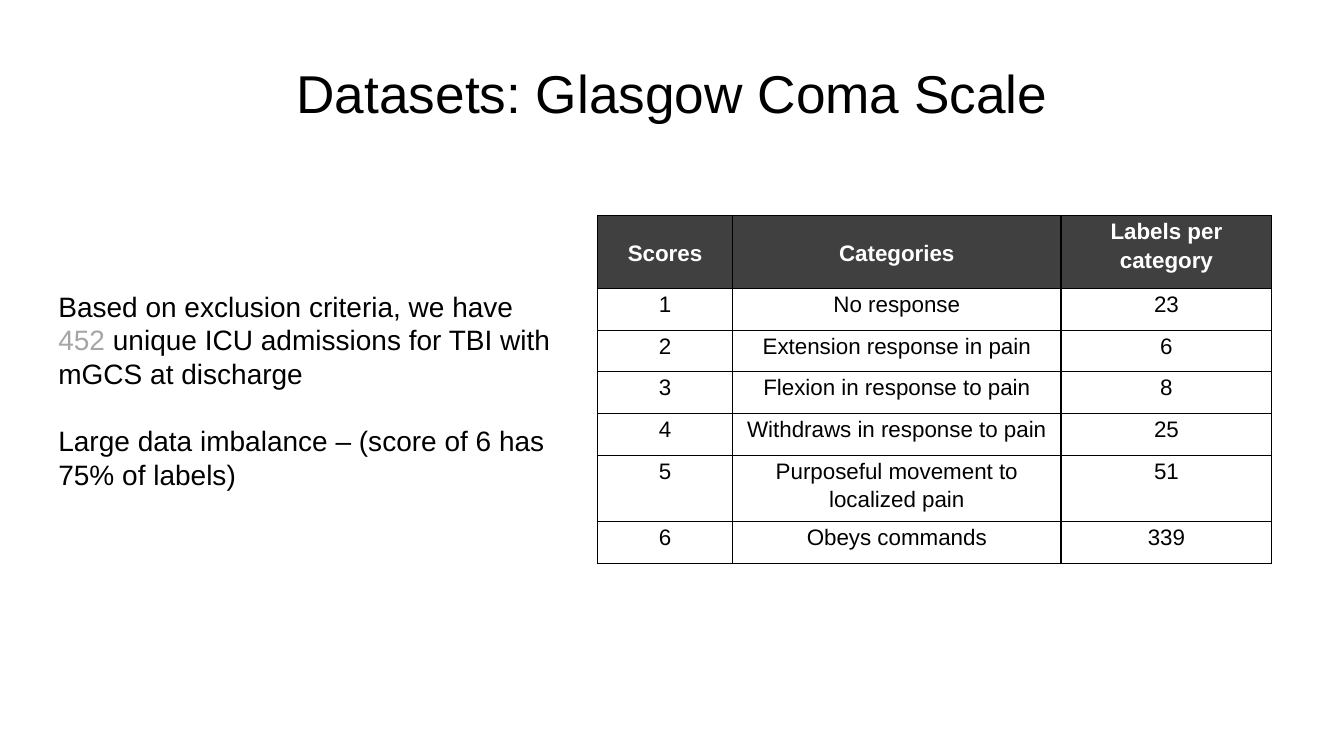
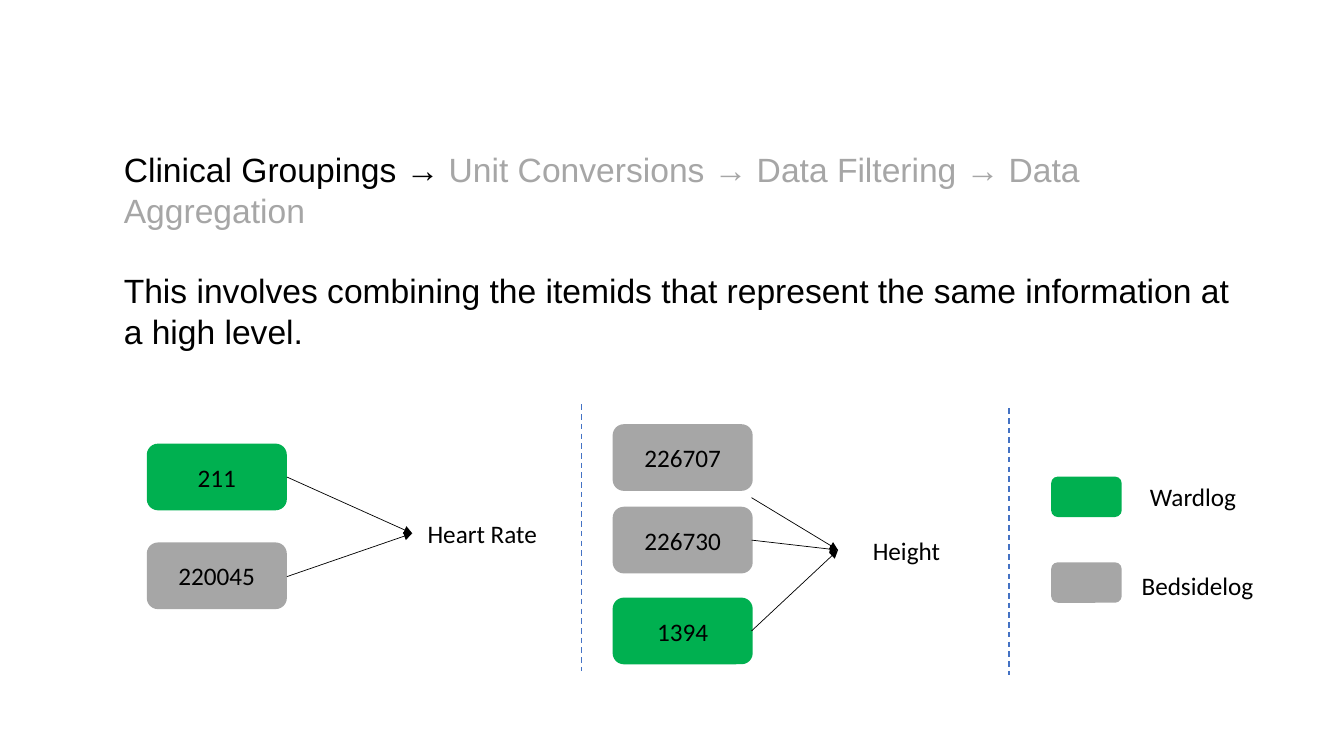
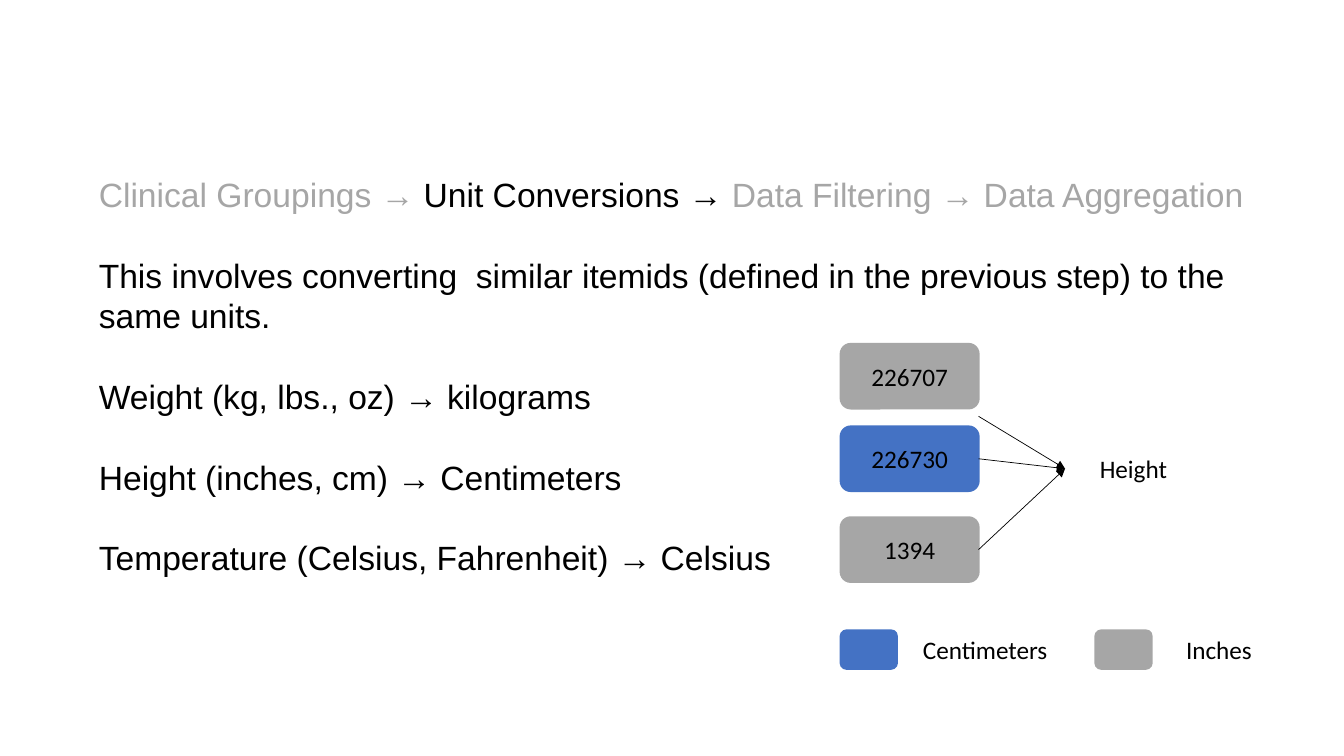
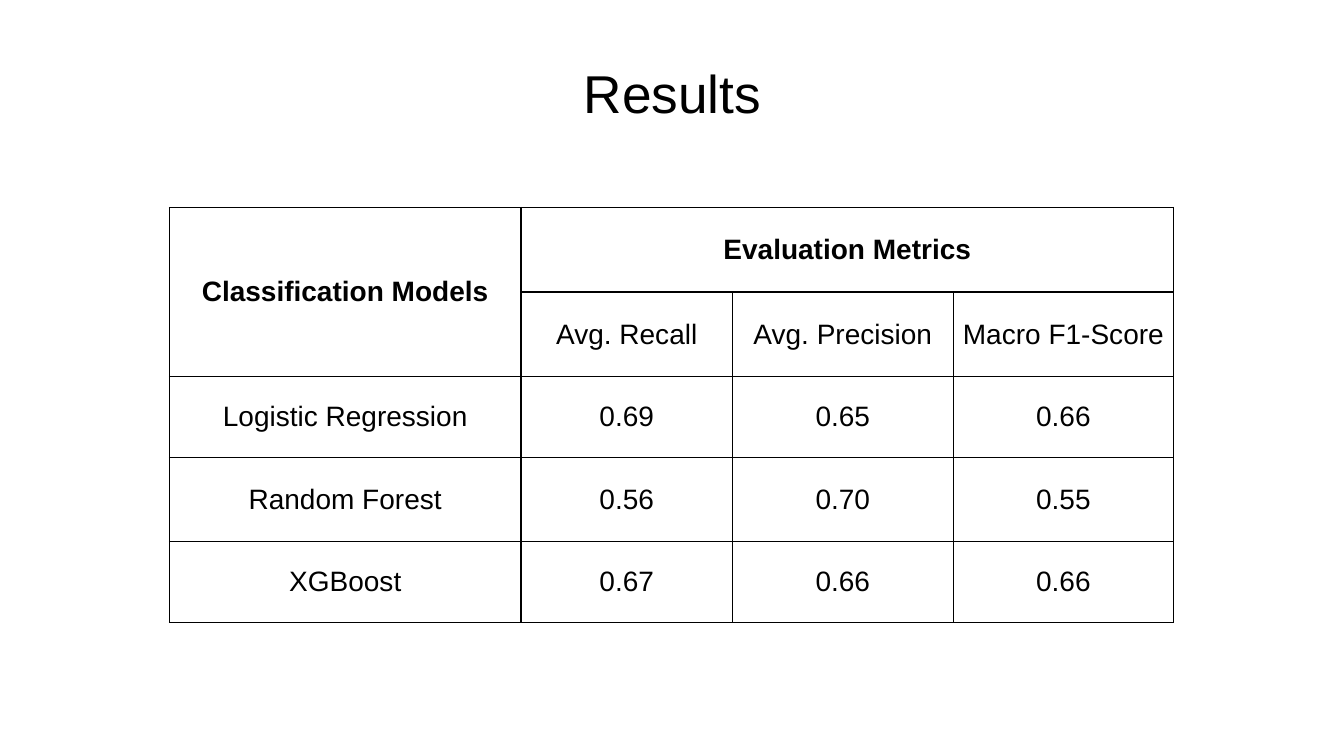
from lxml import etree
from pptx import Presentation
from pptx.dml.color import RGBColor
from pptx.enum import dml, shapes, text
from pptx.oxml import ns
from pptx.util import Cm, Pt

COLORS = {"black": "000000", "white": "FFFFFF", "grey": "A6A6A6", "header": "404040",
          "green": "00B050", "blue": "4472C4"}

TITLE = {"name": "Arial", "size": Pt(38), "bold": False}
BODY = {"name": "Arial", "bold": False}
LABEL = {"name": "Calibri", "size": Pt(18), "bold": False}

TITLE_BOX = (6.1, 0.86, 21.69, 2.95)
NODE_W, NODE_H = 3.53, 1.68
SWATCH_H = 1.02
STEPS = ["Clinical Groupings", "Unit Conversions", "Data Filtering", "Data Aggregation"]
CENTER, LEFT = text.PP_ALIGN.CENTER, text.PP_ALIGN.LEFT
TOP, MIDDLE = text.MSO_ANCHOR.TOP, text.MSO_ANCHOR.MIDDLE


# Shared helpers
def rgb(color):
    return RGBColor.from_string(COLORS[color])


def set_attrs(obj, values):
    for name, value in values.items():
        setattr(obj, name, value)


def add_run(p, words, fmt, color="black"):
    r = p.add_run()
    r.text = words
    set_attrs(r.font, fmt)
    r.font.color.rgb = rgb(color)


def sub(parent, tag, **attrs):
    return etree.SubElement(parent, ns.qn(tag), attrs)


def place(sp, box):
    set_attrs(sp, dict(zip(("left", "top", "width", "height"), map(Cm, box))))


def set_frame(tf, anchor, **margins):
    set_attrs(tf, {"word_wrap": True, "auto_size": text.MSO_AUTO_SIZE.NONE,
                   "vertical_anchor": anchor, **margins})


# Title and body placeholders
def add_title(s, words):
    sp = s.shapes.title
    place(sp, TITLE_BOX)
    set_frame(sp.text_frame, MIDDLE)
    p = sp.text_frame.paragraphs[0]
    p.alignment = CENTER
    add_run(p, words, TITLE)


def add_body(s, box, top_inset, size, paragraphs):
    """Each paragraph is a list of (words, color); one line of space lies between."""
    sp = s.placeholders[1]
    place(sp, box)
    tf = sp.text_frame
    set_frame(tf, TOP, margin_left=Cm(0.1), margin_right=Cm(0.1),
              margin_top=Cm(top_inset), margin_bottom=Cm(0.1))
    line = Pt(size * 1.2)
    for i, runs in enumerate(paragraphs):
        p = tf.add_paragraph() if i else tf.paragraphs[0]
        pPr = p._p.get_or_add_pPr()
        pPr.set("marL", str(Cm(0.1)))
        pPr.set("indent", "0")
        sub(pPr, "a:buNone")
        set_attrs(p, {"alignment": LEFT, "line_spacing": line,
                      "space_before": line if i else Pt(0), "space_after": Pt(0)})
        for words, color in runs:
            add_run(p, words, {**BODY, "size": Pt(size)}, color)


# Tables
def set_borders(cell):
    tcPr = cell._tc.get_or_add_tcPr()
    for side in ("a:lnL", "a:lnR", "a:lnT", "a:lnB"):
        ln = sub(tcPr, side, w=str(Pt(1)))
        sub(sub(ln, "a:solidFill"), "a:srgbClr", val=COLORS["black"])


def add_grid(s, x, y, cols, rows, data, style):
    """style(row, col) gives the font format, colour, fill, anchor and line spacing."""
    table = s.shapes.add_table(len(rows), len(cols), Cm(x), Cm(y),
                               Cm(sum(cols)), Cm(sum(rows))).table
    set_attrs(table, {"first_row": False, "horz_banding": False})
    for col, w in zip(table.columns, cols):
        col.width = Cm(w)
    for row, h in zip(table.rows, rows):
        row.height = Cm(h)
    for i, values in enumerate(data):
        for j, words in enumerate(values):
            cell = table.cell(i, j)
            fmt, color, fill, anchor, spacing = style(i, j)
            set_attrs(cell, {"margin_left": Cm(0.18), "margin_right": Cm(0.18),
                             "margin_top": 0, "margin_bottom": 0,
                             "vertical_anchor": anchor})
            set_borders(cell)
            if fill:
                cell.fill.solid()
                cell.fill.fore_color.rgb = rgb(fill)
            else:
                cell.fill.background()
            p = cell.text_frame.paragraphs[0]
            set_attrs(p, {"alignment": CENTER, "line_spacing": spacing})
            if words:
                add_run(p, words, fmt, color)
    return table


# Diagram parts
def add_box(s, box, fill=None, words=""):
    sp = s.shapes.add_shape(shapes.MSO_SHAPE.ROUNDED_RECTANGLE, *map(Cm, box))
    sp.shadow.inherit = False
    sp.line.fill.background()
    if fill:
        sp.fill.solid()
        sp.fill.fore_color.rgb = rgb(fill)
    else:
        sp.fill.background()
    if words:
        set_frame(sp.text_frame, MIDDLE)
        p = sp.text_frame.paragraphs[0]
        p.alignment = CENTER
        add_run(p, words, LABEL)


def add_line(s, start, end, color, width, dash=None, arrow=False):
    c = s.shapes.add_connector(shapes.MSO_CONNECTOR.STRAIGHT, *map(Cm, start + end))
    c.line.color.rgb = rgb(color)
    c.line.width = Pt(width)
    if dash:
        c.line.dash_style = dash
    if arrow:
        sub(c.line._get_or_add_ln(), "a:tailEnd", type="triangle")
    sub(c._element.spPr, "a:effectLst")


def add_merge(s, x, y, nodes, label, label_at, start_x, tip):
    """Nodes (words, fill, top, arrow start) whose arrows meet at one label."""
    for words, fill, top, arrow_y in nodes:
        add_box(s, (x, y + top, NODE_W, NODE_H), fill, words)
        add_line(s, (x + start_x, y + arrow_y), (x + tip[0], y + tip[1]),
                 "black", 0.5, arrow=True)
    add_box(s, (x + label_at[0], y + label_at[1], NODE_W, NODE_H), words=label)


def add_height_merge(s, x, y, fills):
    ids, tops, starts = ("226707", "226730", "1394"), (0, 2.08, 4.37), (1.85, 2.92, 5.21)
    add_merge(s, x, y, zip(ids, fills, tops, starts), "Height", (5.64, 2.33), 3.5, (5.68, 3.17))


def add_legend(s, x, y, swatch_w, items):
    """Items are (words, fill, swatch dx, dy, label dx, dy, label width)."""
    for words, fill, dx, dy, label_dx, label_dy, w in items:
        add_box(s, (x + dx, y + dy, swatch_w, SWATCH_H), fill)
        tf = s.shapes.add_textbox(Cm(x + label_dx), Cm(y + label_dy), Cm(w), Cm(SWATCH_H)).text_frame
        set_frame(tf, TOP)
        add_run(tf.paragraphs[0], words, LABEL)


# Slides
def new_slide(prs, layout, title=None):
    s = prs.slides.add_slide(prs.slide_layouts[layout])
    if title:
        add_title(s, title)
    else:
        s.shapes.title._element.getparent().remove(s.shapes.title._element)
    return s


def step_trail(active):
    """The steps joined by arrows, with only the active one in black."""
    runs = []
    for i, step in enumerate(STEPS):
        words = step + (" → " if i < len(STEPS) - 1 else "")
        runs.append((words, "black" if i == active else "grey"))
    return runs


def datasets_slide(prs):
    s = new_slide(prs, 1, "Datasets: Glasgow Coma Scale")
    add_body(s, (1.27, 6.1, 12.78, 8.76), 1.19, 20, [
        [("Based on exclusion criteria, we have ", "black"), ("452", "grey"),
         (" unique ICU admissions for TBI with mGCS at discharge", "black")],
        [("Large data imbalance – (score of 6 has 75% of labels)", "black")]])

    def style(i, j):
        head = i == 0
        return ({**BODY, "size": Pt(16), "bold": head}, "white" if head else "black",
                "header" if head else None, MIDDLE if head and j < 2 else TOP, 1.15)

    add_grid(s, 15.06, 5.44, [3.4, 8.28, 5.31], [1.83] + [1.05] * 4 + [1.68, 1.05], [
        ("Scores", "Categories", "Labels per category"),
        ("1", "No response", "23"),
        ("2", "Extension response in pain", "6"),
        ("3", "Flexion in response to pain", "8"),
        ("4", "Withdraws in response to pain", "25"),
        ("5", "Purposeful movement to localized pain", "51"),
        ("6", "Obeys commands", "339")], style)


def groupings_slide(prs):
    s = new_slide(prs, 1)
    add_body(s, (2.92, 3.25, 28.68, 13.21), 0.51, 24, [
        step_trail(0),
        [("This involves combining the itemids that represent the same "
          "information at a high level.", "black")]])
    add_merge(s, 3.7, 11.18, [("211", "green", 0, 0.84), ("220045", "grey", 2.49, 3.35)],
              "Heart Rate", (6.69, 1.42), 3.53, (6.69, 2.26))
    for x, y in ((14.66, 10.19), (25.43, 10.29)):
        add_line(s, (x, y), (x, y + 6.73), "blue", 1, dml.MSO_LINE.DASH)
    add_height_merge(s, 15.44, 10.69, ("grey", "grey", "green"))
    add_legend(s, 26.49, 12.01, 1.78, [
        ("Wardlog", "green", 0, 0, 2.24, 0, 2.87),
        ("Bedsidelog", "grey", 0, 2.16, 2.03, 2.24, 3.53)])


def conversions_slide(prs):
    s = new_slide(prs, 1)
    sentences = ["This involves converting  similar itemids (defined in the previous step) "
                 "to the same units.",
                 "Weight (kg, lbs., oz) → kilograms",
                 "Height (inches, cm) → Centimeters",
                 "Temperature (Celsius, Fahrenheit) → Celsius"]
    add_body(s, (2.29, 2.36, 29.24, 13.21), 2.03, 24,
             [step_trail(1)] + [[(words, "black")] for words in sentences])
    add_height_merge(s, 21.16, 8.64, ("grey", "blue", "grey"))
    add_legend(s, 21.16, 15.86, 1.47, [
        ("Centimeters", "blue", 0, 0, 1.85, 0, 4.27),
        ("Inches", "grey", 6.42, 0, 8.48, 0, 2.26)])


def results_slide(prs):
    s = new_slide(prs, 5, "Results")

    def style(i, j):
        return {**BODY, "size": Pt(20), "bold": i == 0}, "black", None, MIDDLE, 1.0

    table = add_grid(s, 4.27, 5.23, [8.86, 5.33, 5.56, 5.56], [2.13, 2.13, 2.03, 2.13, 2.03], [
        ("Classification Models", "Evaluation Metrics", "", ""),
        ("", "Avg. Recall", "Avg. Precision", "Macro F1-Score"),
        ("Logistic Regression", "0.69", "0.65", "0.66"),
        ("Random Forest", "0.56", "0.70", "0.55"),
        ("XGBoost", "0.67", "0.66", "0.66")], style)
    table.cell(0, 0).merge(table.cell(1, 0))
    table.cell(0, 1).merge(table.cell(0, 3))


def main():
    prs = Presentation()
    set_attrs(prs, {"slide_width": Cm(33.87), "slide_height": Cm(19.05)})
    for build in (datasets_slide, groupings_slide, conversions_slide, results_slide):
        build(prs)
    prs.save("out.pptx")


if __name__ == "__main__":
    main()
